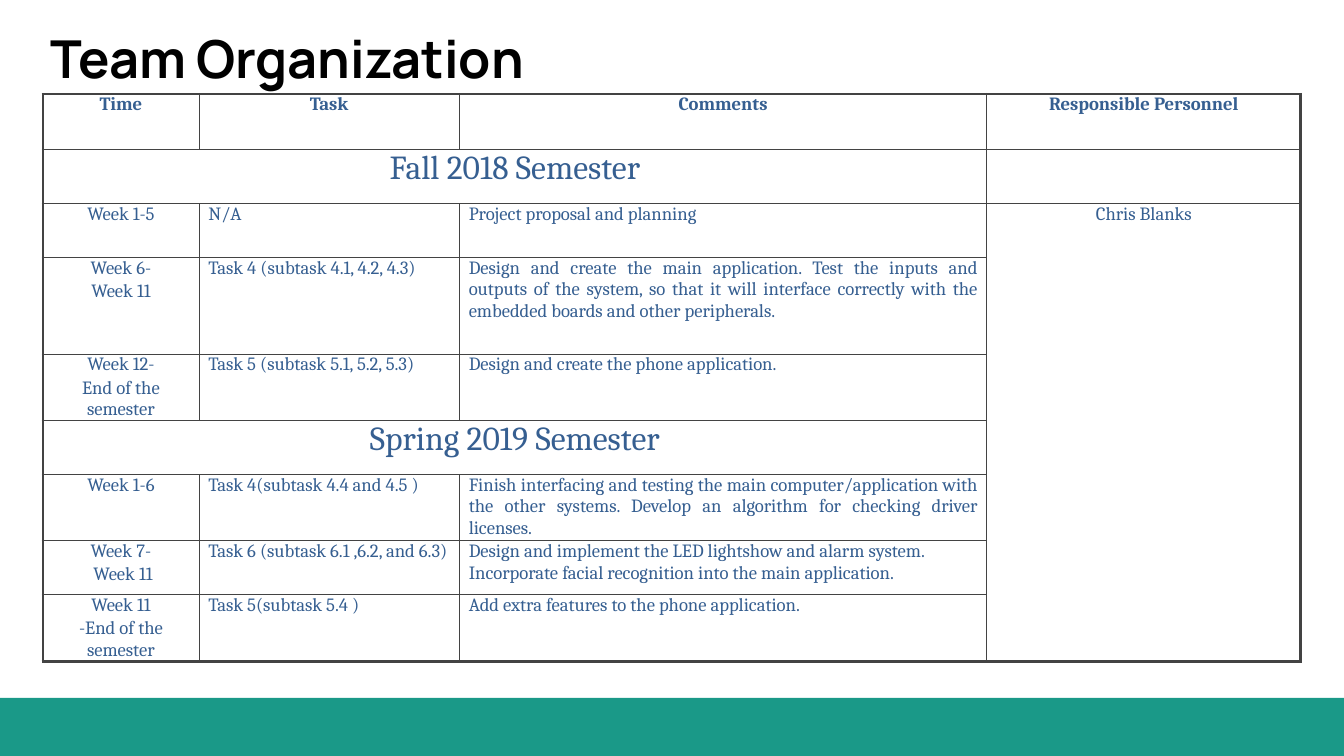
from lxml import etree
from pptx import Presentation
from pptx.dml.color import RGBColor
from pptx.enum.shapes import MSO_SHAPE
from pptx.enum.text import MSO_ANCHOR, MSO_AUTO_SIZE, PP_ALIGN
from pptx.oxml.ns import qn
from pptx.util import Cm, Pt

LEFT, CENTER, JUSTIFY = PP_ALIGN.LEFT, PP_ALIGN.CENTER, PP_ALIGN.JUSTIFY
TOP = MSO_ANCHOR.TOP
NO_AUTOFIT = MSO_AUTO_SIZE.NONE
RECT = MSO_SHAPE.RECTANGLE

# Content
TITLE = "Team Organization"
HEADER = ["Time", "Task", "Comments", "Responsible Personnel"]
PERSON = "Chris Blanks"
# Semester: (time lines, task, comment, alignment of task and comment)
SEMESTERS = {
    "Fall 2018 Semester": [
        ("Week 1-5", "N/A", "Project proposal and planning", JUSTIFY),
        ("Week 6-\nWeek 11", "Task 4 (subtask 4.1, 4.2, 4.3)",
         "Design and create the main application. Test the inputs and outputs "
         "of the system, so that it will interface correctly with the embedded "
         "boards and other peripherals.", JUSTIFY),
        ("Week 12-\nEnd of the semester", "Task 5 (subtask 5.1, 5.2, 5.3)",
         "Design and create the phone application.", LEFT),
    ],
    "Spring 2019 Semester": [
        ("Week 1-6", "Task 4(subtask 4.4 and 4.5 )",
         "Finish interfacing and testing the main computer/application with "
         "the other systems. Develop an algorithm for checking driver "
         "licenses.", JUSTIFY),
        ("Week 7-\n Week 11", "Task 6 (subtask 6.1 ,6.2, and 6.3)",
         "Design and implement the LED lightshow and alarm system. "
         "Incorporate facial recognition into the main application.", LEFT),
        ("Week 11\n-End of the semester", "Task 5(subtask 5.4 )",
         "Add extra features to the phone application.", LEFT),
    ],
}
COL_WIDTHS = [2.95, 4.92, 9.97, 5.93]
ROW_HEIGHTS = [1.05, 1.02, 1.02, 1.82, 1.26, 1.02, 1.25, 1.02, 1.26]
BLUE, GRAY, TEAL, BLACK = "365F91", "434343", "1A9988", "000000"


def rgb(color):
    return RGBColor.from_string(color)


def style_font(p, name, size, color, bold=False):
    p.font.name, p.font.size, p.font.bold = name, Pt(size), bold
    p.font.color.rgb = rgb(color)


def write_cell(cell, text, align=CENTER, size=10, bold=False):
    cell.text = text
    for i, p in enumerate(cell.text_frame.paragraphs):
        p.alignment = align
        p.space_before = Pt(1 if i else 0)
        style_font(p, "Cambria", size, BLUE, bold)


def add_borders(cell, widths):
    tc_pr = cell._tc.get_or_add_tcPr()
    for side, width in widths.items():
        ln = etree.SubElement(tc_pr, qn(f"a:ln{side}"), w=str(Pt(width)))
        fill = etree.SubElement(ln, qn("a:solidFill"))
        etree.SubElement(fill, qn("a:srgbClr"), val=GRAY)


prs = Presentation()
prs.slide_width, prs.slide_height = Cm(25.4), Cm(14.29)
s = prs.slides.add_slide(prs.slide_layouts[5])

# Bottom band
band = s.shapes.add_shape(RECT, 0, Cm(13.19), prs.slide_width, Cm(1.1))
band.shadow.inherit = False
band.fill.solid()
band.fill.fore_color.rgb = rgb(TEAL)
band.line.fill.background()

# Title
title = s.shapes.title
title.left, title.top, title.width, title.height = Cm(0.5), Cm(0.25), Cm(9.86), Cm(1.5)
tf = title.text_frame
tf.text = TITLE
tf.auto_size, tf.vertical_anchor, tf.word_wrap = NO_AUTOFIT, TOP, True
tf.margin_left = tf.margin_right = tf.margin_top = tf.margin_bottom = Cm(0.25)
tf.paragraphs[0].alignment = CENTER
style_font(tf.paragraphs[0], "Manrope", 28, BLACK, True)

# Schedule table
n_rows, n_cols = len(ROW_HEIGHTS), len(COL_WIDTHS)
table = s.shapes.add_table(n_rows, n_cols, Cm(0.81), Cm(1.78),
                           Cm(sum(COL_WIDTHS)), Cm(sum(ROW_HEIGHTS))).table
table.first_row = table.horz_banding = False
for col, width in zip(table.columns, COL_WIDTHS):
    col.width = Cm(width)
for row, height in zip(table.rows, ROW_HEIGHTS):
    row.height = Cm(height)

# Header, semester and week rows
for c, heading in enumerate(HEADER):
    write_cell(table.cell(0, c), heading, bold=True)
r = 1
for semester, weeks in SEMESTERS.items():
    table.cell(r, 0).merge(table.cell(r, 2))
    write_cell(table.cell(r, 0), semester, size=18)
    for r, (time, task, comment, align) in enumerate(weeks, r + 1):
        write_cell(table.cell(r, 0), time)
        write_cell(table.cell(r, 1), task, align)
        write_cell(table.cell(r, 2), comment, align)
    r += 1
table.cell(2, 3).merge(table.cell(n_rows - 1, 3))
write_cell(table.cell(2, 3), PERSON)

# Margins, fill and borders, heavier on the outer edge
for r in range(n_rows):
    for c in range(n_cols):
        cell = table.cell(r, c)
        cell.margin_left = cell.margin_right = Cm(0.18)
        cell.margin_top = cell.margin_bottom = 0
        bottom = r + (cell.span_height if cell.is_merge_origin else 1)
        right = c + (cell.span_width if cell.is_merge_origin else 1)
        on_edge = {"L": c == 0, "R": right == n_cols, "T": r == 0, "B": bottom == n_rows}
        add_borders(cell, {side: 1.5 if edge else 0.5 for side, edge in on_edge.items()})
        cell.fill.background()

prs.save("out.pptx")
